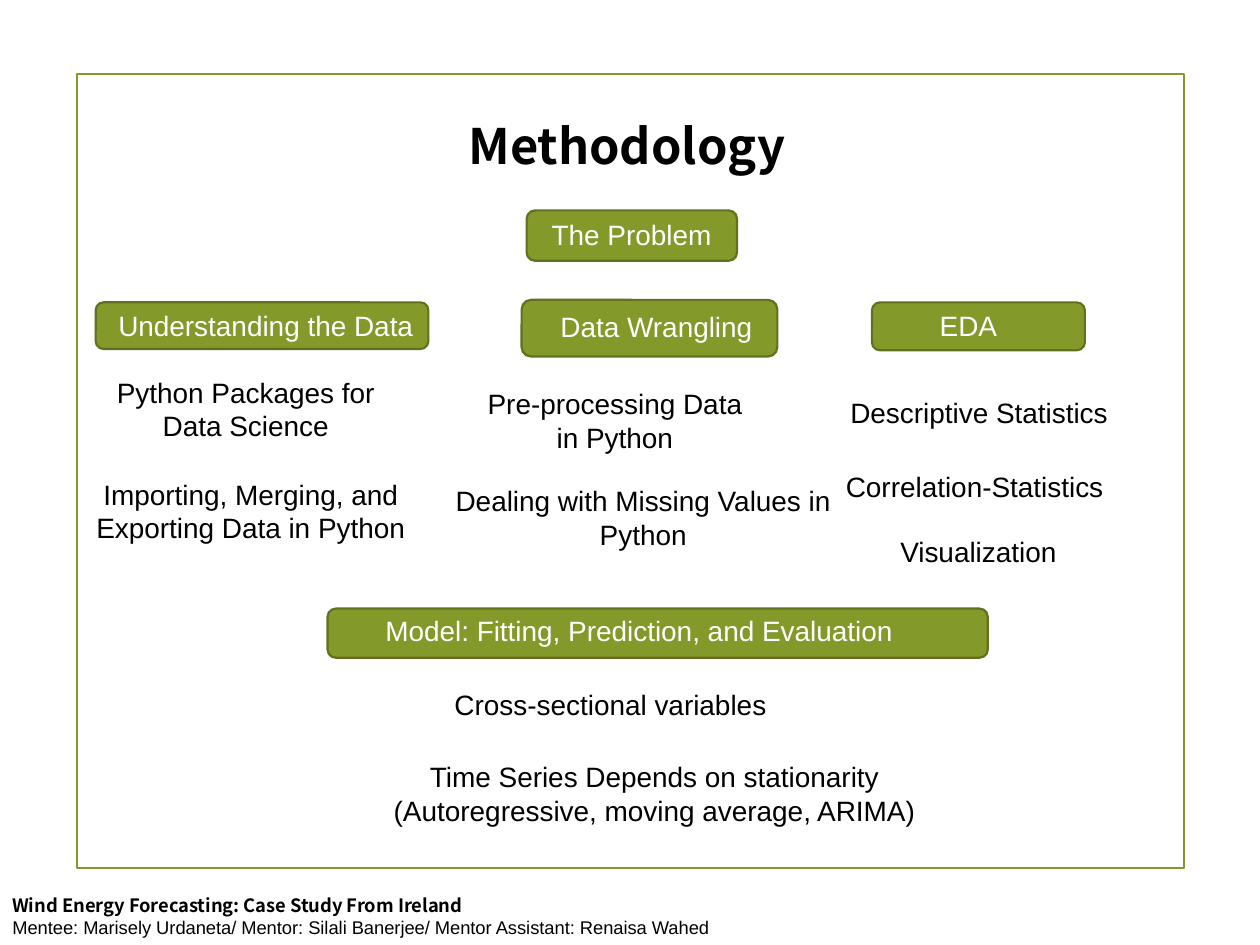
"""Build the Methodology slide of a wind energy forecasting study."""
from dataclasses import dataclass
from typing import NamedTuple

from pptx import Presentation
from pptx.dml.color import RGBColor
from pptx.enum.shapes import MSO_SHAPE as Preset
from pptx.enum.text import MSO_ANCHOR as Anchor, MSO_AUTO_SIZE as AutoSize, PP_ALIGN as Align
from pptx.util import Inches, Pt


@dataclass(frozen=True)
class Theme:
    green: RGBColor = RGBColor(0x83, 0x99, 0x2A)
    edge: RGBColor = RGBColor(0x61, 0x71, 0x1F)
    black: RGBColor = RGBColor(0, 0, 0)
    white: RGBColor = RGBColor(255, 255, 255)
    heading_font: str = "Noto Sans CJK SC"
    body_font: str = "Arial"
    title_size: float = 27.9
    body_size: float = 16
    footer_size: float = 10.5
    line_width: float = 1.25


class Box(NamedTuple):
    left: float
    top: float
    width: float
    height: float


class Stage(NamedTuple):
    heading: str
    button: Box
    label: Box


class Step(NamedTuple):
    wording: str
    box: Box
    align: Align = Align.CENTER


THEME = Theme()
ONE_LINE, TWO_LINES = 0.37, 0.64

STAGES = [
    Stage("The Problem", Box(4.18, 1.67, 1.67, 0.4), Box(4.28, 1.68, 1.57, ONE_LINE)),
    Stage("Understanding the Data", Box(0.76, 2.4, 2.64, 0.37), Box(0.84, 2.4, 2.55, ONE_LINE)),
    Stage("Data Wrangling", Box(4.14, 2.38, 2.03, 0.45), Box(4.35, 2.41, 1.74, ONE_LINE)),
    Stage("EDA", Box(6.92, 2.4, 1.69, 0.38), Box(7.36, 2.4, 1.04, ONE_LINE)),
    Stage("Model: Fitting, Prediction, and Evaluation",
          Box(2.6, 4.83, 5.24, 0.39), Box(2.96, 4.82, 4.53, ONE_LINE)),
]

STEPS = [
    Step("Python Packages for Data Science", Box(0.79, 2.93, 2.32, TWO_LINES)),
    Step("Importing, Merging, and Exporting Data in Python", Box(0.58, 3.74, 2.82, TWO_LINES)),
    Step("Pre-processing Data in Python", Box(3.72, 3.02, 2.32, TWO_LINES)),
    Step("Dealing with Missing Values in Python", Box(3.29, 3.79, 3.63, TWO_LINES)),
    Step("Descriptive Statistics", Box(6.65, 3.09, 2.32, ONE_LINE), Align.LEFT),
    Step("Correlation-Statistics", Box(6.34, 3.68, 2.79, ONE_LINE)),
    Step("Visualization", Box(6.37, 4.19, 2.79, ONE_LINE)),
    Step("Cross-sectional variables", Box(3.35, 5.41, 2.99, ONE_LINE)),
    Step("Time Series Depends on stationarity (Autoregressive, moving average, ARIMA)",
         Box(2.56, 5.98, 5.27, TWO_LINES)),
]

FOOTER = [
    "Wind Energy Forecasting: Case Study From Ireland",
    "Mentee: Marisely Urdaneta/ Mentor: Silali Banerjee/ Mentor Assistant: Renaisa Wahed",
]


def inches(box: Box) -> list[Inches]:
    return [Inches(length) for length in box]


def style(paragraph, size: float, color: RGBColor, font: str = THEME.body_font,
          bold: bool = False) -> None:
    for run in paragraph.runs:
        run.font.size = Pt(size)
        run.font.name = font
        run.font.bold = bold
        run.font.color.rgb = color


def add_outline(shapes, preset: Preset, box: Box, line: RGBColor):
    outline = shapes.add_shape(preset, *inches(box))
    outline.shadow.inherit = False
    outline.fill.background()
    outline.line.color.rgb = line
    outline.line.width = Pt(THEME.line_width)
    return outline


def add_text(shapes, wording: str, box: Box, color: RGBColor, align: Align = Align.LEFT):
    frame = shapes.add_textbox(*inches(box)).text_frame
    frame.word_wrap = True
    frame.auto_size = AutoSize.SHAPE_TO_FIT_TEXT
    frame.text = wording
    for paragraph in frame.paragraphs:
        paragraph.alignment = align
        style(paragraph, THEME.body_size, color)
    return frame


def add_stage(slide, stage: Stage) -> None:
    members = slide.shapes.add_group_shape().shapes
    button = add_outline(members, Preset.ROUNDED_RECTANGLE, stage.button, THEME.edge)
    button.fill.solid()
    button.fill.fore_color.rgb = THEME.green
    add_text(members, stage.heading, stage.label, THEME.white)


def set_title(slide, wording: str, box: Box) -> None:
    title = slide.shapes.title
    title.left, title.top, title.width, title.height = inches(box)
    frame = title.text_frame
    frame.text = wording
    frame.auto_size = AutoSize.NONE
    frame.vertical_anchor = Anchor.MIDDLE
    heading = frame.paragraphs[0]
    heading.alignment = Align.CENTER
    heading.line_spacing = 0.7
    style(heading, THEME.title_size, THEME.black, THEME.heading_font, bold=True)


def add_footer(slide) -> None:
    footer = add_text(slide.shapes, "\n".join(FOOTER), Box(0, 7.05, 10, 0.45), THEME.black)
    study, people = footer.paragraphs
    style(study, THEME.footer_size, THEME.black, THEME.heading_font, bold=True)
    style(people, THEME.footer_size, THEME.black)


def main() -> None:
    deck = Presentation()
    deck.slide_width, deck.slide_height = Inches(10), Inches(7.5)
    slide = deck.slides.add_slide(deck.slide_layouts[5])
    add_outline(slide.shapes, Preset.RECTANGLE, Box(0.61, 0.59, 8.79, 6.3), THEME.green)
    set_title(slide, "Methodology", Box(3.48, 0.81, 2.99, 0.8))
    for stage in STAGES:
        add_stage(slide, stage)
    for step in STEPS:
        add_text(slide.shapes, step.wording, step.box, THEME.black, step.align)
    add_footer(slide)
    deck.save("out.pptx")


if __name__ == "__main__":
    main()
